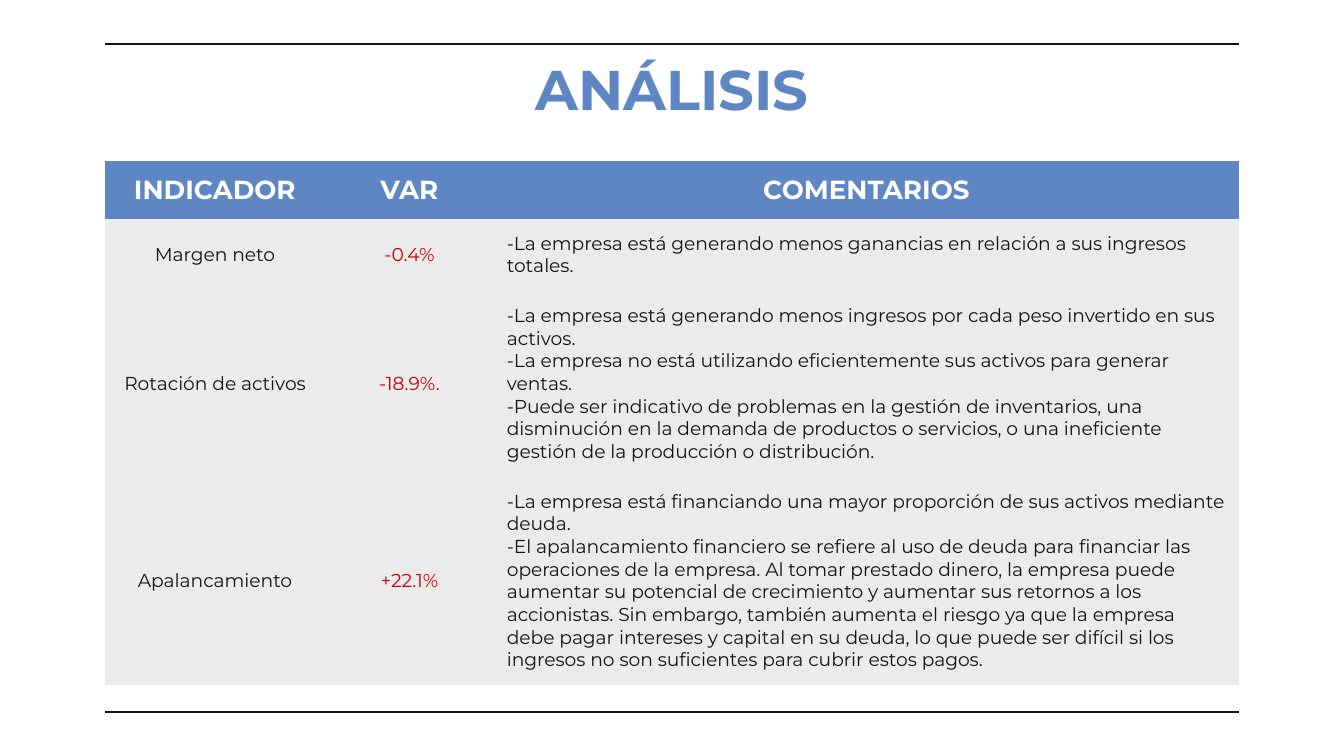
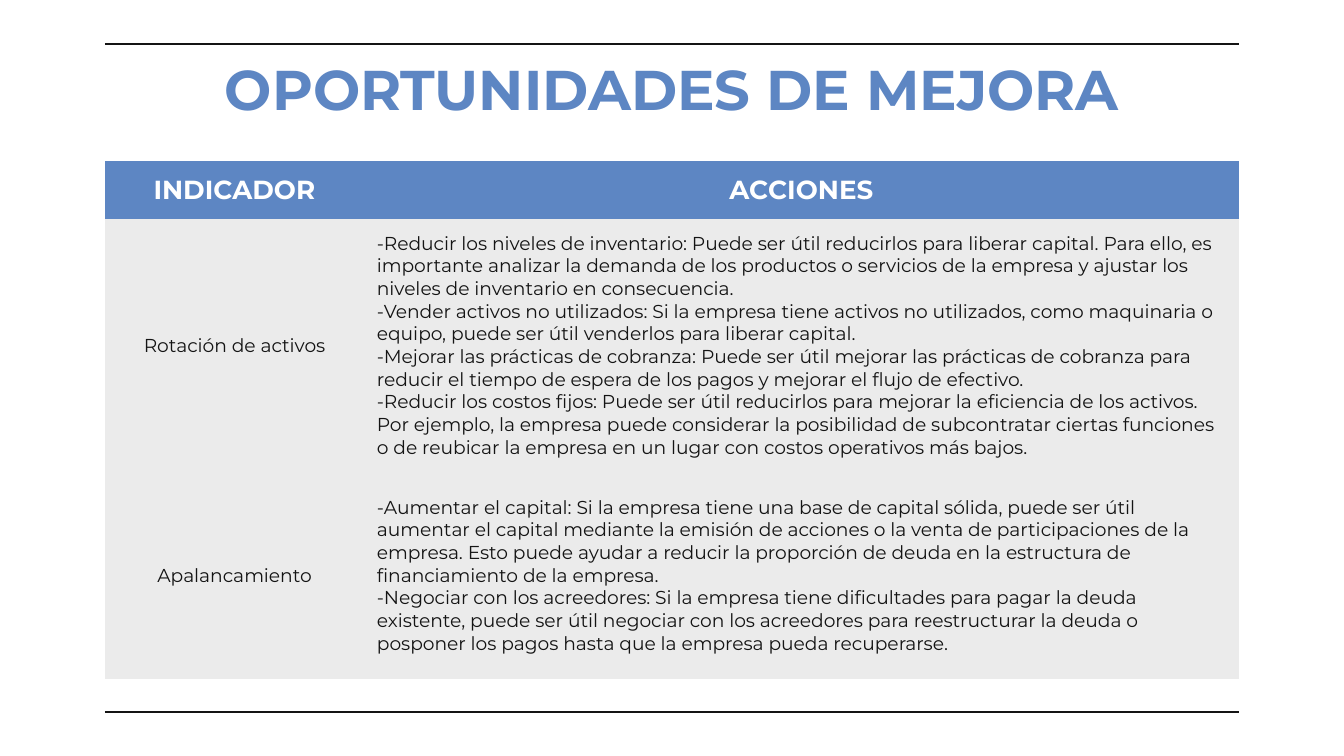
from dataclasses import dataclass

from lxml import etree
from pptx import Presentation
from pptx.dml.color import RGBColor
from pptx.enum.shapes import MSO_CONNECTOR
from pptx.enum.text import MSO_ANCHOR, PP_ALIGN
from pptx.oxml.ns import qn
from pptx.util import Pt

LINE = MSO_CONNECTOR.STRAIGHT
MIDDLE, TOP = MSO_ANCHOR.MIDDLE, MSO_ANCHOR.TOP
LEFT, CENTER = PP_ALIGN.LEFT, PP_ALIGN.CENTER

# Slide grid in px
WIDE, HIGH = 1344, 756
EDGE, SPAN = 105, 1134
RULES = (44, 712)
INSET, HANG = 13, 17
NO_GRID = "{2D5ABB26-0587-4C30-8999-92F81FD0307C}"


def px(n):
    return round(n * 9144000 / WIDE)


@dataclass(frozen=True)
class Theme:
    font: str = "Montserrat"
    blue: str = "5D86C3"
    ink: str = "141414"
    red: str = "CC0000"
    gray: str = "EBEBEB"
    white: str = "FFFFFF"
    title: int = 30
    head: int = 14
    body: int = 10
    rule: float = 0.75


class Deck:
    def __init__(self, theme):
        self.theme = theme
        self.file = Presentation()
        self.file.slide_width, self.file.slide_height = px(WIDE), px(HIGH)
        self.slide = None

    def page(self, title):
        """Start a slide with its two rules and its title."""
        self.slide = self.file.slides.add_slide(self.file.slide_layouts[6])
        for y in RULES:
            self.rule(y)
        self.title(title)

    def rule(self, y):
        line = self.slide.shapes.add_connector(
            LINE, px(EDGE), px(y), px(EDGE + SPAN), px(y))
        line.line.color.rgb = RGBColor.from_string(self.theme.ink)
        line.line.width = Pt(self.theme.rule)
        etree.SubElement(line.element.spPr, qn("a:effectLst"))

    def title(self, text):
        box = self.slide.shapes.add_textbox(px(EDGE), px(42), px(SPAN), px(85))
        frame = box.text_frame
        frame.word_wrap = True
        frame.vertical_anchor = TOP
        self.inset(frame)
        self.label(frame.paragraphs[0], text, self.theme.title, self.theme.blue, True)

    def inset(self, item):
        item.margin_left = item.margin_right = px(INSET)
        item.margin_top = item.margin_bottom = px(INSET)

    def label(self, para, text, size, color, bold=False, align=CENTER):
        para.text = text
        para.alignment = align
        font = para.font
        font.name, font.size, font.bold = self.theme.font, Pt(size), bold
        font.color.rgb = RGBColor.from_string(color)

    def dash(self, para):
        """Give a paragraph a hanging dash as its bullet."""
        props = para._p.get_or_add_pPr()
        props.set("marL", "0")
        props.set("indent", str(-px(HANG)))
        color = etree.Element(qn("a:buClr"))
        etree.SubElement(color, qn("a:srgbClr"), val=self.theme.ink)
        face = etree.Element(qn("a:buFont"), typeface=self.theme.font)
        mark = etree.Element(qn("a:buChar"), char="-")
        for spot, node in enumerate((color, face, mark)):
            props.insert(spot, node)

    def cell(self, cell, text, head):
        look = self.theme
        cell.fill.solid()
        cell.fill.fore_color.rgb = RGBColor.from_string(look.blue if head else look.gray)
        cell.vertical_anchor = MIDDLE
        self.inset(cell)
        frame = cell.text_frame
        if isinstance(text, list):
            for i, item in enumerate(text):
                para = frame.add_paragraph() if i else frame.paragraphs[0]
                self.label(para, item, look.body, look.ink, align=LEFT)
                self.dash(para)
        elif head:
            self.label(frame.paragraphs[0], text, look.head, look.white, True)
        else:
            color = look.red if text[0] in "+-" else look.ink
            self.label(frame.paragraphs[0], text, look.body, color)

    def table(self, cols, highs, rows):
        shape = self.slide.shapes.add_table(
            len(rows), len(cols), px(EDGE), px(161), px(SPAN), px(sum(highs)))
        table = shape.table
        table.first_row = table.horz_banding = False
        next(shape.element.iter(qn("a:tableStyleId"))).text = NO_GRID
        for col, width in zip(table.columns, cols):
            col.width = px(width)
        for r, (high, row) in enumerate(zip(highs, rows)):
            table.rows[r].height = px(high)
            for c, text in enumerate(row):
                self.cell(table.cell(r, c), text, head=r == 0)


# Table content: a list holds dashed items
REVIEW = [
    ("INDICADOR", "VAR", "COMENTARIOS"),
    ("Margen neto", "-0.4%", [
        "La empresa está generando menos ganancias en relación a sus ingresos totales.",
    ]),
    ("Rotación de activos", "-18.9%.", [
        "La empresa está generando menos ingresos por cada peso invertido en sus activos.",
        "La empresa no está utilizando eficientemente sus activos para generar ventas.",
        "Puede ser indicativo de problemas en la gestión de inventarios, una disminución "
        "en la demanda de productos o servicios, o una ineficiente gestión de la "
        "producción o distribución.",
    ]),
    ("Apalancamiento", "+22.1%", [
        "La empresa está financiando una mayor proporción de sus activos mediante deuda.",
        "El apalancamiento financiero se refiere al uso de deuda para financiar las "
        "operaciones de la empresa. Al tomar prestado dinero, la empresa puede aumentar "
        "su potencial de crecimiento y aumentar sus retornos a los accionistas. Sin "
        "embargo, también aumenta el riesgo ya que la empresa debe pagar intereses y "
        "capital en su deuda, lo que puede ser difícil si los ingresos no son "
        "suficientes para cubrir estos pagos.",
    ]),
]
ACTIONS = [
    ("INDICADOR", "ACCIONES"),
    ("Rotación de activos", [
        "Reducir los niveles de inventario: Puede ser útil reducirlos para liberar "
        "capital. Para ello, es importante analizar la demanda de los productos o "
        "servicios de la empresa y ajustar los niveles de inventario en consecuencia.",
        "Vender activos no utilizados: Si la empresa tiene activos no utilizados, como "
        "maquinaria o equipo, puede ser útil venderlos para liberar capital.",
        "Mejorar las prácticas de cobranza: Puede ser útil mejorar las prácticas de "
        "cobranza para reducir el tiempo de espera de los pagos y mejorar el flujo de "
        "efectivo.",
        "Reducir los costos fijos: Puede ser útil reducirlos para mejorar la eficiencia "
        "de los activos. Por ejemplo, la empresa puede considerar la posibilidad de "
        "subcontratar ciertas funciones o de reubicar la empresa en un lugar con costos "
        "operativos más bajos.",
    ]),
    ("Apalancamiento", [
        "Aumentar el capital: Si la empresa tiene una base de capital sólida, puede ser "
        "útil aumentar el capital mediante la emisión de acciones o la venta de "
        "participaciones de la empresa. Esto puede ayudar a reducir la proporción de "
        "deuda en la estructura de financiamiento de la empresa.",
        "Negociar con los acreedores: Si la empresa tiene dificultades para pagar la "
        "deuda existente, puede ser útil negociar con los acreedores para reestructurar "
        "la deuda o posponer los pagos hasta que la empresa pueda recuperarse.",
    ]),
]


def main():
    deck = Deck(Theme())

    # Analysis
    deck.page("ANÁLISIS")
    deck.table((220, 169, 745), (58, 72, 186, 208), REVIEW)

    # Improvements
    deck.page("OPORTUNIDADES DE MEJORA")
    deck.table((259, 875), (58, 253, 207), ACTIONS)

    deck.file.save("out.pptx")


if __name__ == "__main__":
    main()
